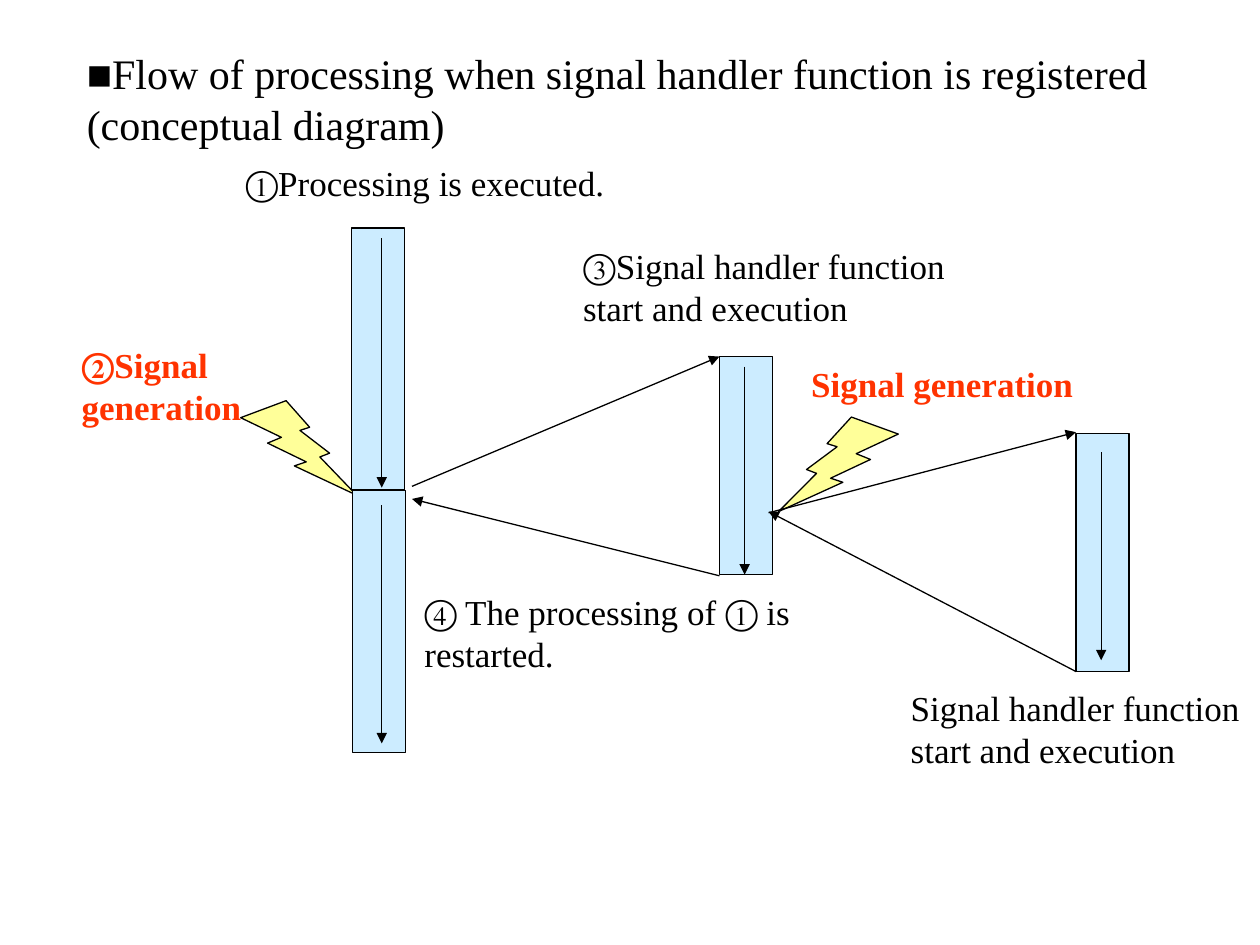
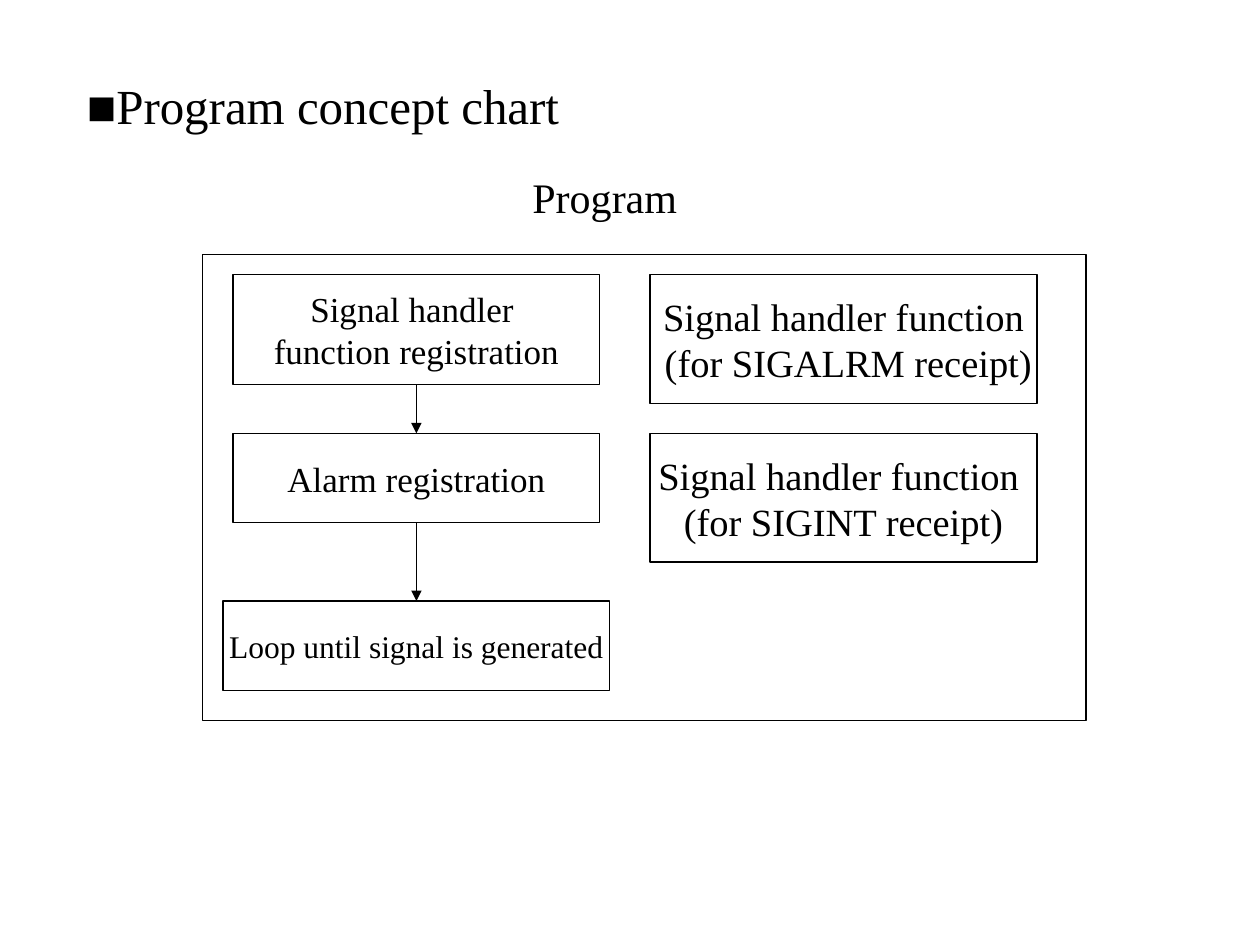
"""Build two slides on signal handling: a timing diagram and a program chart."""
from lxml import etree
from pptx import Presentation
from pptx.dml.color import RGBColor
from pptx.enum.shapes import MSO_CONNECTOR, MSO_SHAPE
from pptx.enum.text import MSO_ANCHOR, MSO_AUTO_SIZE, PP_ALIGN
from pptx.oxml.ns import qn
from pptx.util import Inches, Pt

RECT, FLOW, BOLT = MSO_SHAPE.RECTANGLE, MSO_SHAPE.FLOWCHART_PROCESS, MSO_SHAPE.LIGHTNING_BOLT
LINE = MSO_CONNECTOR.STRAIGHT
TOP, MIDDLE = MSO_ANCHOR.TOP, MSO_ANCHOR.MIDDLE
LEFT, CENTER = PP_ALIGN.LEFT, PP_ALIGN.CENTER
FIXED, GROW = MSO_AUTO_SIZE.NONE, MSO_AUTO_SIZE.SHAPE_TO_FIT_TEXT
COLS, ROWS = 100, 75
SIDE_TOP, SIDE_LOW = 0, 2
COLORS = {"ink": "000000", "alert": "FF3300", "bar": "CCECFF", "bolt": "FFFF99", "paper": "FFFFFF"}


def tint(name):
    return RGBColor.from_string(COLORS[name])


def apply(item, values):
    for name, value in values.items():
        setattr(item, name, value)


class Deck:
    """Holds the style, the grid and the current slide."""

    face = "Times New Roman"
    edge = Pt(0.75)
    pads = {"margin_left": Inches(0.1), "margin_right": Inches(0.1),
            "margin_top": Inches(0.05), "margin_bottom": Inches(0.05)}

    def __init__(self):
        self.deck = Presentation()
        apply(self.deck, {"slide_width": Inches(10), "slide_height": Inches(7.5)})
        self.wide = self.deck.slide_width / COLS
        self.high = self.deck.slide_height / ROWS

    def page(self, title, spot, size):
        self.slide = self.deck.slides.add_slide(self.deck.slide_layouts[6])
        self.label(title, spot, size=size, anchor=MIDDLE, fit=FIXED)

    def place(self, spot):
        return [round(part * unit) for part, unit in zip(spot, (self.wide, self.high) * 2)]

    def letter(self, shape, text, size, color="ink", bold=False, align=LEFT,
               anchor=TOP, wrap=True, fit=FIXED):
        frame = shape.text_frame
        frame.text = text
        apply(frame, {**self.pads, "word_wrap": wrap, "auto_size": fit, "vertical_anchor": anchor})
        for para in frame.paragraphs:
            para.alignment = align
            apply(para.font, {"name": self.face, "size": Pt(size), "bold": bold})
            para.font.color.rgb = tint(color)

    def label(self, text, spot, size=20, fit=GROW, **style):
        self.letter(self.slide.shapes.add_textbox(*self.place(spot)), text, size, fit=fit, **style)

    def outline(self, item):
        item.line.color.rgb = tint("ink")
        item.line.width = self.edge

    def block(self, spot, fill="paper", kind=RECT, flip=False):
        shape = self.slide.shapes.add_shape(kind, *self.place(spot))
        shape.shadow.inherit = False
        shape.fill.solid()
        shape.fill.fore_color.rgb = tint(fill)
        self.outline(shape)
        if flip:
            shape._element.spPr.xfrm.set("flipH", "1")
        return shape

    def step(self, text, spot, size):
        shape = self.block(spot)
        self.letter(shape, text, size, align=CENTER, anchor=MIDDLE, wrap=False)
        return shape

    def arrow(self, ends):
        link = self.slide.shapes.add_connector(LINE, *self.place(ends))
        self.outline(link)
        etree.SubElement(link.line._get_or_add_ln(), qn("a:tailEnd"), type="triangle")
        etree.SubElement(link._element.spPr, qn("a:effectLst"))
        return link

    def join(self, upper, lower):
        link = self.arrow((0, 0, 1, 1))
        link.begin_connect(upper, SIDE_LOW)
        link.end_connect(lower, SIDE_TOP)


def flow(deck):
    deck.page("■Flow of processing when signal handler function is registered (conceptual diagram)",
              (5.9, 3.3, 94.1, 9), 24)
    width = 4.2
    deck.block((27.9, 18.1, width, 20.8), "bar")
    deck.block((19.1, 31.8, 9.2, 7.5), "bolt", BOLT)
    for col, row, height in ((28, 38.9, 20.8), (57.1, 28.3, 17.3), (85.4, 34.4, 18.9)):
        deck.block((col, row, width, height), "bar")
    deck.block((61.8, 33.1, 9.5, 7.5), "bolt", BOLT, flip=True)

    for col, start, end in ((30.3, 18.9, 38.7), (30.3, 40.1, 59),
                            (59.1, 29.1, 45.6), (87.4, 35.9, 52.4)):
        deck.arrow((col, start, col, end))
    for ends in ((32.7, 38.6, 57.1, 28.3), (57.1, 45.7, 32.7, 39.6),
                 (61, 40.7, 85.4, 34.3), (85.4, 53.3, 61, 40.6)):
        deck.arrow(ends)

    for text, spot in (
            ("①Processing is executed.", (18.5, 12.3, 43.2, 4.4)),
            ("③Signal handler function start and execution", (45.3, 18.9, 32.3, 7.7)),
            ("④ The processing of ① is restarted.", (32.7, 46.4, 32.3, 7.7)),
            ("Signal handler function start and execution", (71.3, 54, 28.7, 7.7))):
        deck.label(text, spot)
    for text, spot in (("②Signal generation", (5.5, 26.8, 23.6, 7.7)),
                       ("Signal generation", (63.4, 28.3, 24.4, 4.4))):
        deck.label(text, spot, color="alert", bold=True)


def chart(deck):
    deck.page("■Program concept chart", (5.9, 5.2, 83.5, 6.3), 28)
    deck.label("Program", (35.8, 13.1, 24.4, 5), size=24, align=CENTER)
    deck.block((16.1, 20.2, 70.1, 37), kind=FLOW)
    steps = [deck.step(*item) for item in (
        ("Signal handler \nfunction registration", (18.5, 21.8, 29.1, 8.7), 20),
        ("Alarm registration", (18.5, 34.4, 29.1, 7.1), 20),
        ("Loop until signal is generated", (17.7, 47.7, 30.7, 7.1), 18))]
    for upper, lower in zip(steps, steps[1:]):
        deck.join(upper, lower)
    for text, row in (("Signal handler function\n (for SIGALRM receipt)", 21.8),
                      ("Signal handler function \n(for SIGINT receipt)", 34.4)):
        deck.step(text, (51.6, row, 30.7, 10.2), 22)


def main():
    deck = Deck()
    flow(deck)
    chart(deck)
    deck.deck.save("out.pptx")


if __name__ == "__main__":
    main()
